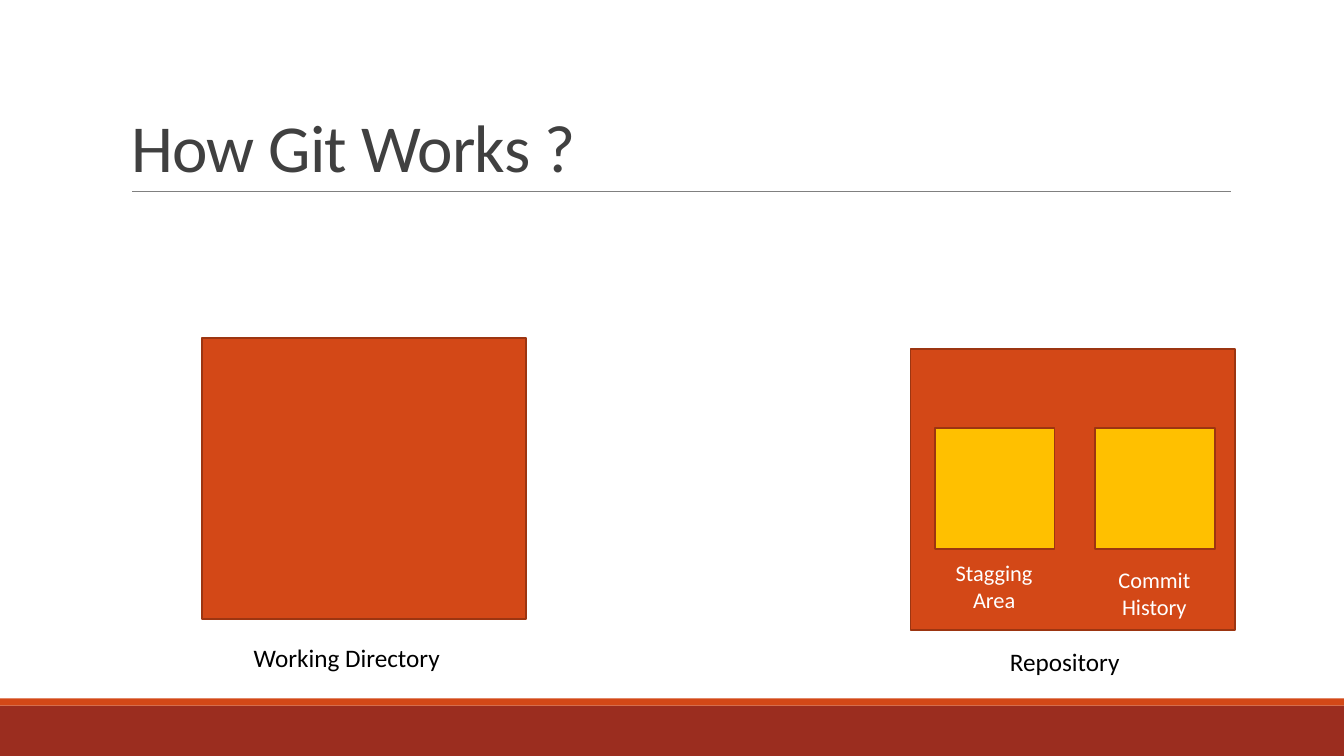
"""Builds the slide on how Git works: working directory and repository."""
from lxml.etree import SubElement
from pptx import Presentation
from pptx.dml.color import RGBColor
from pptx.enum.shapes import MSO_CONNECTOR, MSO_SHAPE
from pptx.enum.text import MSO_ANCHOR, PP_ALIGN
from pptx.oxml.ns import qn
from pptx.util import Inches, Pt

COLORS = {name: RGBColor.from_string(value) for name, value in {
    "band": "9B2D1F", "orange": "D34817", "edge": "9C3511", "yellow": "FFC000",
    "rule": "808080", "title": "404040", "black": "000000", "white": "FFFFFF",
}.items()}
WIDTH, HEIGHT = 13.33, 7.5
BIG, SMALL = (3.22, 2.79), (1.19, 1.2)
LABEL_WIDTH = 2.14

prs = Presentation()
prs.slide_width, prs.slide_height = Inches(WIDTH), Inches(HEIGHT)
s = prs.slides.add_slide(prs.slide_layouts[5])


def add_rect(x, y, w, h, fill, edge=None):
    sp = s.shapes.add_shape(MSO_SHAPE.RECTANGLE, *map(Inches, (x, y, w, h)))
    sp.shadow.inherit = False
    sp.fill.solid()
    sp.fill.fore_color.rgb = COLORS[fill]
    if edge:
        sp.line.color.rgb = COLORS[edge]
        sp.line.width = Pt(1.25)
    else:
        sp.line.fill.background()


def format_font(font, size, color):
    for name, value in {"name": "Calibri", "size": Pt(size)}.items():
        setattr(font, name, value)
    font.color.rgb = COLORS[color]


add_rect(0, 7, WIDTH, 0.5, "band")
add_rect(0, 6.93, WIDTH, 0.07, "orange")

rule = s.shapes.add_connector(
    MSO_CONNECTOR.STRAIGHT, *map(Inches, (1.31, 1.9, 12.21, 1.9)))
rule.line.color.rgb = COLORS["rule"]
rule.line.width = Pt(0.5)
SubElement(rule._element.spPr, qn("a:effectLst"))

title = s.shapes.title
for name, value in {"left": 1.2, "top": 0.31, "width": 11, "height": 1.59}.items():
    setattr(title, name, Inches(value))
tf = title.text_frame
tf.text = "How Git Works ?"
tf.vertical_anchor = MSO_ANCHOR.BOTTOM
p = tf.paragraphs[0]
p.alignment = PP_ALIGN.LEFT
p.line_spacing = 0.85
r = p.runs[0]
format_font(r.font, 48, "title")
r.font._element.set("spc", "-50")

for x, y, size, fill in [
    (2, 3.35, BIG, "orange"),
    (9.03, 3.46, BIG, "orange"),
    (9.27, 4.25, SMALL, "yellow"),
    (10.86, 4.25, SMALL, "yellow"),
]:
    add_rect(x, y, *size, fill, "edge")

for x, y, h, lines, size, color in [
    (2.37, 6.32, 0.41, ["Working Directory"], 18, "black"),
    (9.49, 6.36, 0.41, ["Repository"], 18, "black"),
    (8.79, 5.5, 0.64, ["Stagging", "Area"], 16, "white"),
    (10.38, 5.57, 0.64, ["Commit", "History"], 16, "white"),
]:
    tf = s.shapes.add_textbox(*map(Inches, (x, y, LABEL_WIDTH, h))).text_frame
    tf.word_wrap = True
    tf.text = "\n".join(lines)
    for p in tf.paragraphs:
        p.alignment = PP_ALIGN.CENTER
        format_font(p.runs[0].font, size, color)

prs.save("out.pptx")
